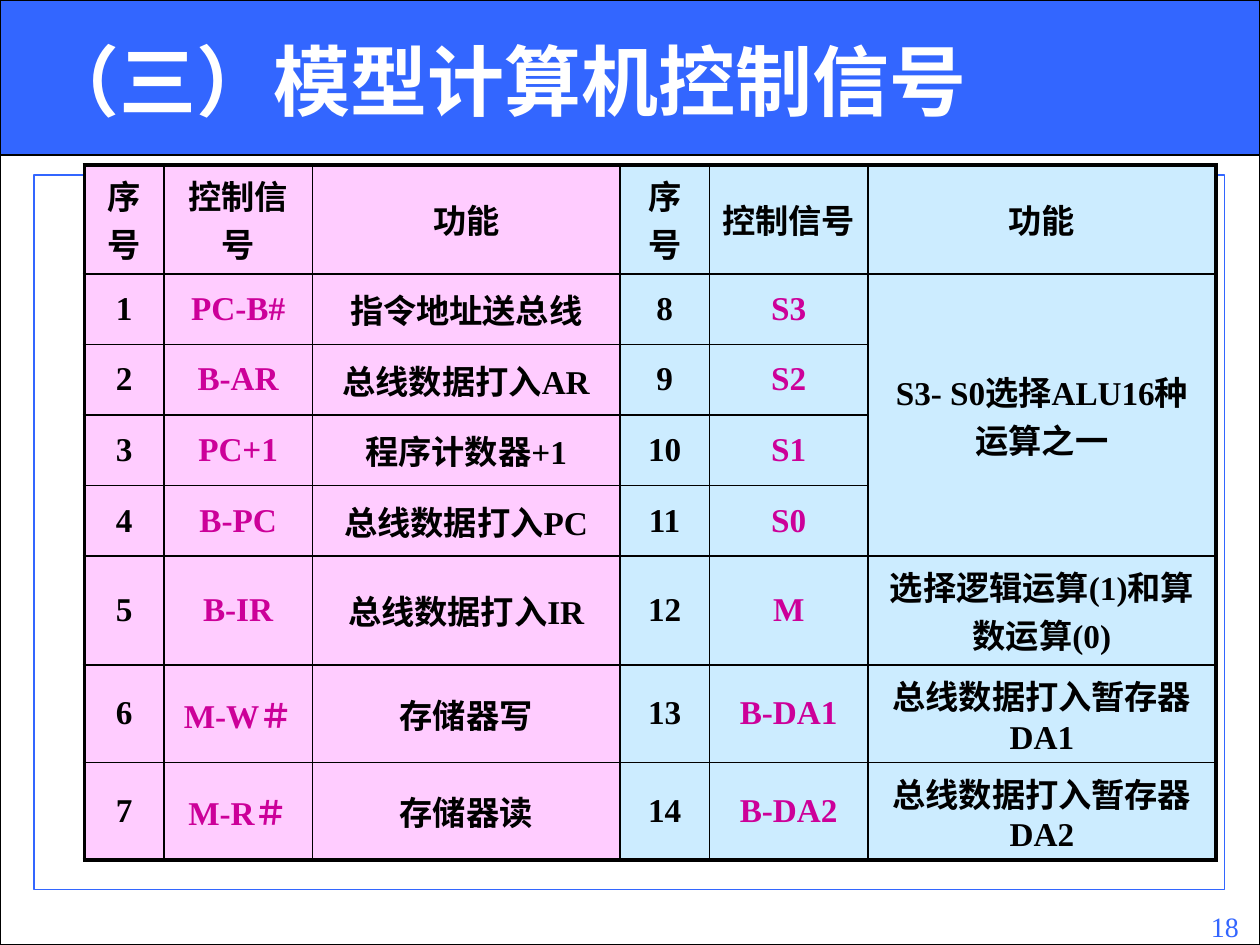
from dataclasses import dataclass

from lxml.etree import SubElement
from pptx import Presentation
from pptx.dml.color import RGBColor
from pptx.enum.shapes import MSO_SHAPE
from pptx.enum.text import MSO_ANCHOR, PP_ALIGN
from pptx.oxml.ns import qn
from pptx.util import Inches, Pt


@dataclass(frozen=True)
class Theme:
    font: str = "Times New Roman"
    blue: str = "3366FF"
    black: str = "000000"
    white: str = "FFFFFF"
    signal: str = "CC0099"
    left_half: str = "FFCCFF"
    right_half: str = "CCECFF"
    title_size: float = 44
    cell_size: float = 19
    number_size: float = 16
    frame_line: float = 0.75
    inner_line: float = 1
    outer_line: float = 2.25


HEADER = ["序号", "控制信号", "功能"]
LEFT_SIGNALS = [
    ("PC-B#", "指令地址送总线"),
    ("B-AR", "总线数据打入AR"),
    ("PC+1", "程序计数器+1"),
    ("B-PC", "总线数据打入PC"),
    ("B-IR", "总线数据打入IR"),
    ("M-W＃", "存储器写"),
    ("M-R＃", "存储器读"),
]
RIGHT_SIGNALS = [
    ("S3", "S3- S0选择ALU16种运算之一"),
    ("S2", ""),
    ("S1", ""),
    ("S0", ""),
    ("M", "选择逻辑运算(1)和算数运算(0)"),
    ("B-DA1", "总线数据打入暂存器DA1"),
    ("B-DA2", "总线数据打入暂存器DA2"),
]
COLUMN_WIDTHS = [0.63, 1.18, 2.44, 0.71, 1.26, 2.76]
ROW_HEIGHTS = [0.74] + [0.56] * 4 + [0.74] * 3
SIGNAL_COLUMNS = (1, 4)


def write_text(frame, text, *, font, size, color, bold=False,
               align=PP_ALIGN.LEFT, anchor=MSO_ANCHOR.TOP, before=0):
    frame.word_wrap = True
    frame.vertical_anchor = anchor
    para = frame.paragraphs[0]
    para.alignment = align
    para.space_before = Pt(before)
    span = para.add_run()
    span.text = text
    span.font.name = font
    span.font.size = Pt(size)
    span.font.bold = bold
    span.font.color.rgb = RGBColor.from_string(color)


def set_border(cell, side, width, color):
    """Draw one cell edge; call in the order L, R, T, B and before the fill."""
    properties = cell._tc.get_or_add_tcPr()
    line = SubElement(properties, qn(f"a:ln{side}"), w=str(Pt(width)))
    fill = SubElement(line, qn("a:solidFill"))
    SubElement(fill, qn("a:srgbClr"), val=color)


class SlideBuilder:
    def __init__(self, page, theme):
        self.page = page
        self.theme = theme

    def panel(self, left, top, width, height, *, line, fill=None):
        box = self.page.shapes.add_shape(
            MSO_SHAPE.RECTANGLE, Inches(left), Inches(top), Inches(width), Inches(height))
        box.shadow.inherit = False
        box.line.color.rgb = RGBColor.from_string(line)
        box.line.width = Pt(self.theme.frame_line)
        if fill:
            box.fill.solid()
            box.fill.fore_color.rgb = RGBColor.from_string(fill)
        else:
            box.fill.background()

    def title(self, text, left, top, width, height):
        """Fill the title placeholder and bring it in front of the panels."""
        box = self.page.shapes.title
        box.left, box.top = Inches(left), Inches(top)
        box.width, box.height = Inches(width), Inches(height)
        box.element.getparent().append(box.element)
        write_text(box.text_frame, text, font=self.theme.font, size=self.theme.title_size,
                   color=self.theme.white, bold=True, anchor=MSO_ANCHOR.MIDDLE)

    def page_number(self, text, left, top, width, height):
        box = self.page.shapes.add_textbox(
            Inches(left), Inches(top), Inches(width), Inches(height))
        write_text(box.text_frame, text, font=self.theme.font, size=self.theme.number_size,
                   color=self.theme.blue, align=PP_ALIGN.RIGHT)

    def signal_table(self, rows, left, top):
        table = self.page.shapes.add_table(
            len(rows), len(COLUMN_WIDTHS), Inches(left), Inches(top),
            Inches(sum(COLUMN_WIDTHS)), Inches(sum(ROW_HEIGHTS))).table
        table.first_row = table.horz_banding = False
        for column, width in zip(table.columns, COLUMN_WIDTHS):
            column.width = Inches(width)
        for row, height in zip(table.rows, ROW_HEIGHTS):
            row.height = Inches(height)
        for row_index, texts in enumerate(rows):
            for column_index, text in enumerate(texts):
                self.signal_cell(table, row_index, column_index, text)
        table.cell(1, 5).merge(table.cell(4, 5))

    def signal_cell(self, table, row, column, text):
        theme = self.theme
        cell = table.cell(row, column)
        outer_edges = {
            "L": column == 0,
            "R": column == len(table.columns) - 1,
            "T": row == 0,
            "B": row == len(table.rows) - 1,
        }
        for side, is_outer in outer_edges.items():
            width = theme.outer_line if is_outer else theme.inner_line
            set_border(cell, side, width, theme.black)
        cell.fill.solid()
        cell.fill.fore_color.rgb = RGBColor.from_string(
            theme.left_half if column < len(HEADER) else theme.right_half)
        cell.vertical_anchor = MSO_ANCHOR.MIDDLE
        if text:
            is_signal = row > 0 and column in SIGNAL_COLUMNS
            write_text(cell.text_frame, text, font=theme.font, size=theme.cell_size,
                       color=theme.signal if is_signal else theme.black, bold=True,
                       align=PP_ALIGN.CENTER, anchor=MSO_ANCHOR.MIDDLE,
                       before=0.2 * theme.cell_size)


def table_rows():
    rows = [HEADER * 2]
    for number, (left, right) in enumerate(zip(LEFT_SIGNALS, RIGHT_SIGNALS), start=1):
        rows.append([str(number), *left, str(number + len(LEFT_SIGNALS)), *right])
    return rows


def main():
    deck = Presentation()
    deck.slide_width, deck.slide_height = Inches(10), Inches(7.5)
    theme = Theme()
    builder = SlideBuilder(deck.slides.add_slide(deck.slide_layouts[5]), theme)
    builder.panel(0.27, 1.39, 9.45, 5.67, line=theme.blue)
    builder.panel(0, 0, 10, 1.23, line=theme.black, fill=theme.blue)
    builder.panel(0, 1.23, 10, 6.27, line=theme.black)
    builder.page_number("18", 8.54, 7.17, 1.39, 0.52)
    builder.title("（三）模型计算机控制信号", 0.24, 0.1, 9.48, 1.06)
    builder.signal_table(table_rows(), 0.67, 1.31)
    deck.save("out.pptx")


if __name__ == "__main__":
    main()
